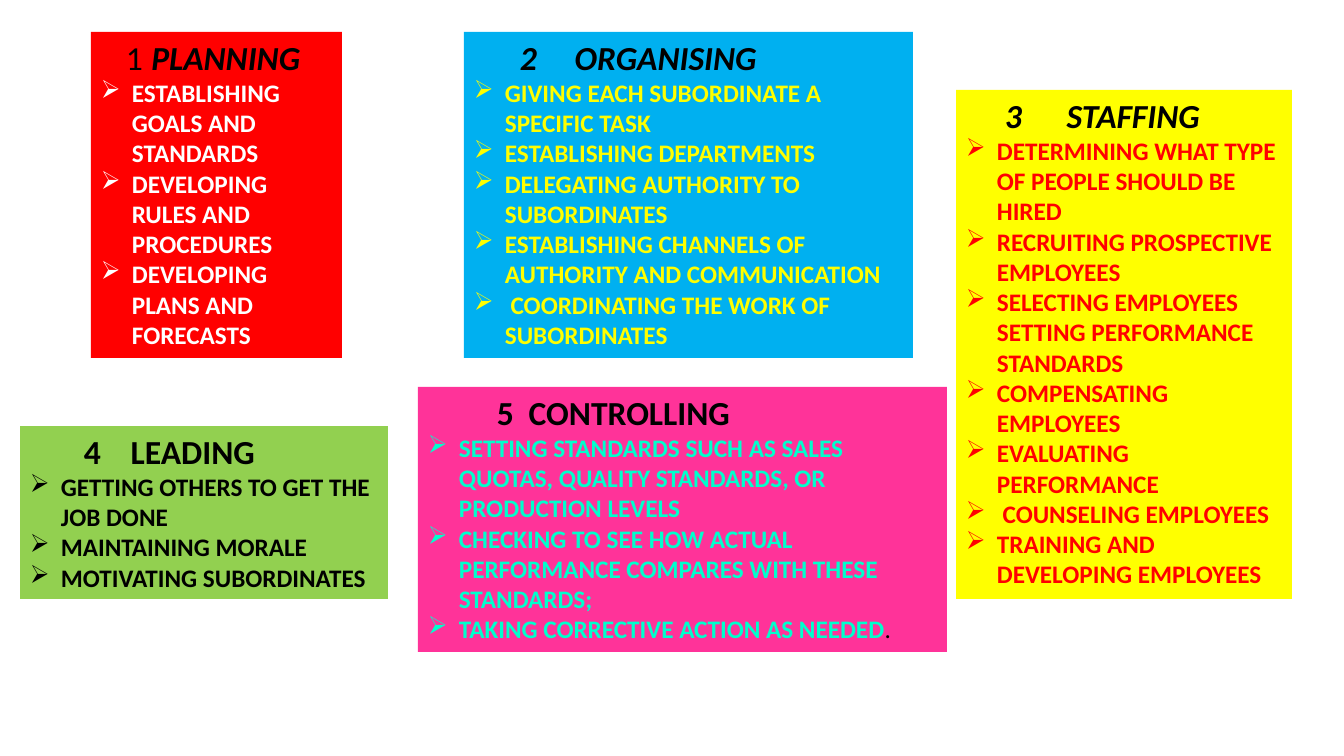
"""Build a slide of five coloured boxes listing the functions of management."""
import dataclasses

import pptx
import pptx.dml.color
import pptx.enum.shapes
import pptx.enum.text
import pptx.oxml.ns
import pptx.util
from lxml import etree


@dataclasses.dataclass(frozen=True)
class Theme:
    font: str = "Calibri"
    heading: int = 24
    body: int = 18
    black: str = "000000"
    white: str = "FFFFFF"
    red: str = "FF0000"
    blue: str = "00B0F0"
    yellow: str = "FFFF00"
    green: str = "92D050"
    pink: str = "FF3399"
    aqua: str = "00FFCC"


THEME = Theme()


def px(n):
    return pptx.util.Emu(round(n * 914400 / 100.8))


def add_text(p, text, size, color, bold=True, italic=False):
    r = p.add_run()
    r.text = text
    r.font.name = THEME.font
    r.font.size = pptx.util.Pt(size)
    r.font.bold = bold
    r.font.italic = italic
    r.font.color.rgb = pptx.dml.color.RGBColor.from_string(color)


class Deck:
    def __init__(self, theme, width, height):
        self.theme = theme
        self.prs = pptx.Presentation()
        self.prs.slide_width, self.prs.slide_height = px(width), px(height)
        self.s = self.prs.slides.add_slide(self.prs.slide_layouts[6])

    def box(self, x, y, w, h, fill):
        sp = self.s.shapes.add_shape(
            pptx.enum.shapes.MSO_SHAPE.RECTANGLE, px(x), px(y), px(w), px(h))
        sp.shadow.inherit = False
        sp.fill.solid()
        sp.fill.fore_color.rgb = pptx.dml.color.RGBColor.from_string(fill)
        sp.line.fill.background()
        tf = sp.text_frame
        tf.word_wrap = True
        tf.auto_size = pptx.enum.text.MSO_AUTO_SIZE.SHAPE_TO_FIT_TEXT
        tf.vertical_anchor = pptx.enum.text.MSO_ANCHOR.TOP
        return tf

    def paragraph(self, p, margin, indent):
        p.alignment = pptx.enum.text.PP_ALIGN.LEFT
        pPr = p._p.get_or_add_pPr()
        pPr.set("marL", str(px(margin)))
        pPr.set("indent", str(px(indent)))
        return pPr

    def heading(self, p, number, title, start, tab, number_bold=True, italic=False):
        pPr = self.paragraph(p, 0, start)
        tabs = etree.SubElement(pPr, pptx.oxml.ns.qn("a:tabLst"))
        etree.SubElement(tabs, pptx.oxml.ns.qn("a:tab"), pos=str(px(tab)), algn="l")
        size, color = self.theme.heading, self.theme.black
        add_text(p, f"{number}\t", size, color, number_bold, italic and number_bold)
        add_text(p, title, size, color, italic=italic)

    def bullet(self, p, text, color):
        pPr = self.paragraph(p, 31, -31)
        etree.SubElement(pPr, pptx.oxml.ns.qn("a:buChar"), char="➢")
        add_text(p, text, self.theme.body, color)

    def card(self, place, fill, heading, color, items):
        tf = self.box(*place, fill)
        self.heading(tf.paragraphs[0], **heading)
        for item in items:
            self.bullet(tf.add_paragraph(), item, color)
        return tf


def main():
    t = THEME
    deck = Deck(t, 1344, 756)
    deck.card(
        (91, 32, 251, 326), t.red,
        dict(number=1, title="PLANNING", start=25, tab=56, number_bold=False, italic=True),
        t.white,
        ["ESTABLISHING GOALS AND STANDARDS",
         "DEVELOPING RULES AND PROCEDURES",
         "DEVELOPING PLANS AND FORECASTS"])
    deck.card(
        (464, 32, 449, 326), t.blue,
        dict(number=2, title="ORGANISING", start=46, tab=86, italic=True),
        t.yellow,
        ["GIVING EACH SUBORDINATE A SPECIFIC TASK",
         "ESTABLISHING DEPARTMENTS",
         "DELEGATING AUTHORITY TO SUBORDINATES",
         "ESTABLISHING CHANNELS OF AUTHORITY AND COMMUNICATION",
         " COORDINATING THE WORK OF SUBORDINATES"])
    deck.card(
        (956, 90, 336, 509), t.yellow,
        dict(number=3, title="STAFFING", start=39, tab=70, italic=True),
        t.red,
        ["DETERMINING WHAT TYPE OF PEOPLE SHOULD BE HIRED",
         "RECRUITING PROSPECTIVE EMPLOYEES",
         "SELECTING EMPLOYEES SETTING PERFORMANCE STANDARDS",
         "COMPENSATING EMPLOYEES",
         "EVALUATING PERFORMANCE",
         " COUNSELING EMPLOYEES",
         "TRAINING AND DEVELOPING EMPLOYEES"])
    deck.card(
        (20, 426, 368, 173), t.green,
        dict(number=4, title="LEADING", start=54, tab=93),
        t.black,
        ["GETTING OTHERS TO GET THE JOB DONE",
         "MAINTAINING MORALE",
         "MOTIVATING SUBORDINATES"])
    controlling = deck.card(
        (418, 387, 529, 265), t.pink,
        dict(number=5, title="CONTROLLING", start=69, tab=131),
        t.aqua,
        ["SETTING STANDARDS SUCH AS SALES QUOTAS, QUALITY STANDARDS, OR PRODUCTION LEVELS",
         "CHECKING TO SEE HOW ACTUAL PERFORMANCE COMPARES WITH THESE STANDARDS;",
         "TAKING CORRECTIVE ACTION AS NEEDED"])
    add_text(controlling.paragraphs[-1], ".", t.body, t.black, bold=False)
    deck.prs.save("out.pptx")


if __name__ == "__main__":
    main()
